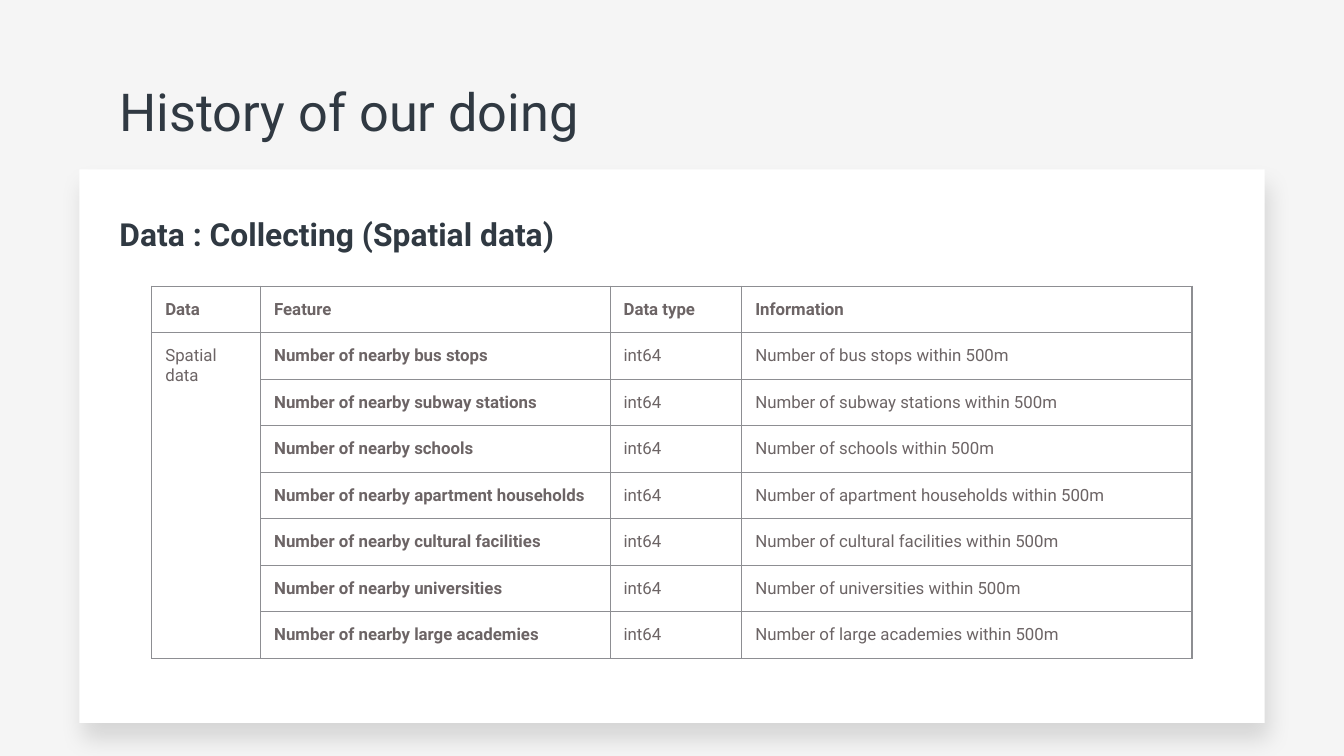
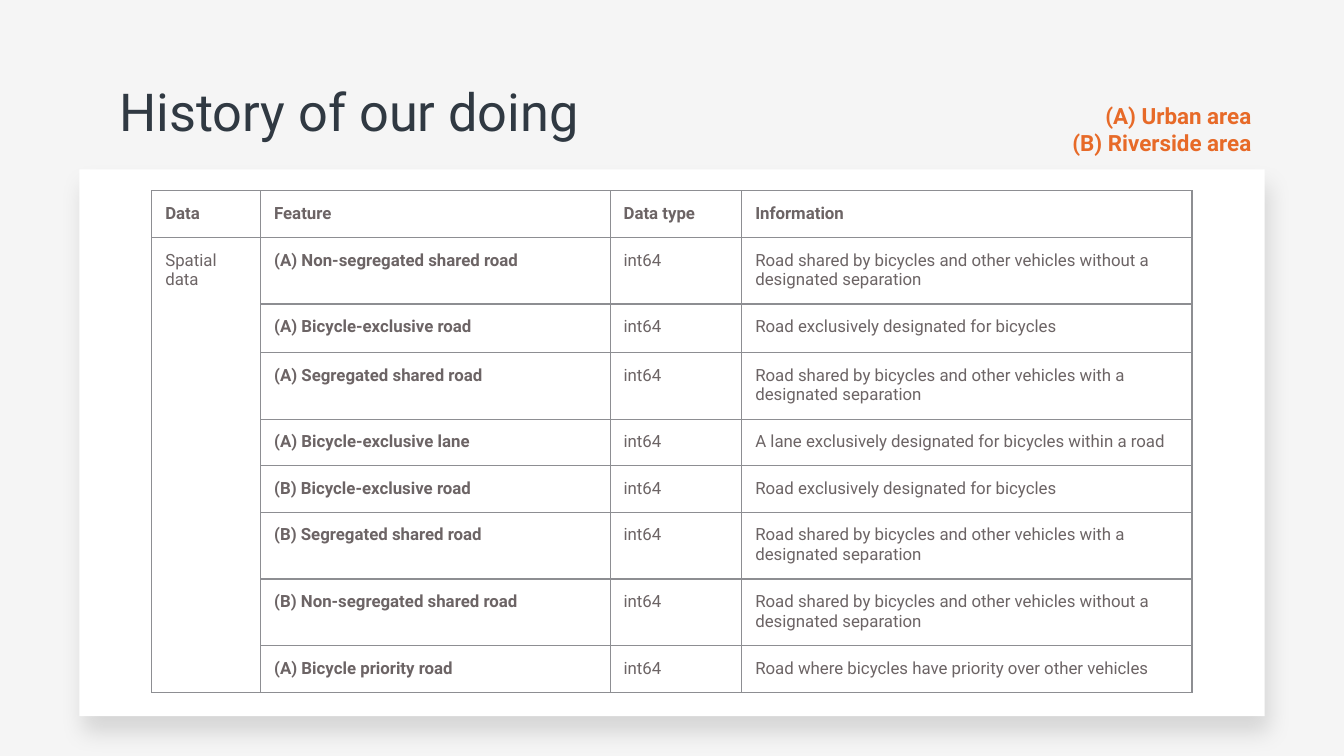
from dataclasses import dataclass

import lxml.etree
import pptx
import pptx.dml.color
import pptx.enum.shapes
import pptx.enum.text
import pptx.oxml.ns
import pptx.util

Inches = pptx.util.Inches
Pt = pptx.util.Pt
qn = pptx.oxml.ns.qn
Anchor = pptx.enum.text.MSO_ANCHOR
Align = pptx.enum.text.PP_ALIGN

FONT = "Roboto"
COLORS = {
    "background": "F5F5F5",
    "card": "FFFFFF",
    "heading": "303942",
    "body": "6C6465",
    "border": "8D8E92",
    "legend": "E76A28",
    "shadow": "000000",
}
INSET = Inches(0.1)
CELL_VERTICAL_INSET = Pt(7.05)
COLUMN_WIDTHS = (0.81, 2.6, 0.98, 3.35)
HEADERS = ("Data", "Feature", "Data type", "Information")
TABLE_LEFT = 1.13


@dataclass(frozen=True)
class Box:
    left: float
    top: float
    width: float
    height: float

    def lengths(self) -> list[int]:
        return [Inches(v) for v in (self.left, self.top, self.width, self.height)]


@dataclass(frozen=True)
class TextStyle:
    size: int
    color: str
    bold: bool = False
    align: Align = Align.LEFT


@dataclass(frozen=True)
class Feature:
    name: str
    information: str
    height: float


TITLE = TextStyle(28, "heading")
SUBTITLE = TextStyle(17, "heading", bold=True)
LEGEND = TextStyle(12, "legend", bold=True, align=Align.RIGHT)
CELL = TextStyle(9, "body")
CELL_BOLD = TextStyle(9, "body", bold=True)

NEARBY_PLACES = (
    "bus stops", "subway stations", "schools", "apartment households",
    "cultural facilities", "universities", "large academies",
)
NEARBY_ROW = 0.28
NEARBY_FEATURES = [
    Feature(f"Number of nearby {place}", f"Number of {place} within 500m", NEARBY_ROW)
    for place in NEARBY_PLACES
]

ROAD_ROW, TALL_ROAD_ROW = 0.29, 0.36
EXCLUSIVE = "Road exclusively designated for bicycles"
SHARED = "Road shared by bicycles and other vehicles {} a designated separation"
SEGREGATED = SHARED.format("with")
NON_SEGREGATED = SHARED.format("without")
ROAD_FEATURES = [
    Feature("(A) Non-segregated shared road", NON_SEGREGATED, TALL_ROAD_ROW),
    Feature("(A) Bicycle-exclusive road", EXCLUSIVE, TALL_ROAD_ROW),
    Feature("(A) Segregated shared road", SEGREGATED, ROAD_ROW),
    Feature("(A) Bicycle-exclusive lane",
            "A lane exclusively designated for bicycles within a road", ROAD_ROW),
    Feature("(B) Bicycle-exclusive road", EXCLUSIVE, ROAD_ROW),
    Feature("(B) Segregated shared road", SEGREGATED, ROAD_ROW),
    Feature("(B) Non-segregated shared road", NON_SEGREGATED, ROAD_ROW),
    Feature("(A) Bicycle priority road",
            "Road where bicycles have priority over other vehicles", ROAD_ROW),
]


def rgb(name: str) -> pptx.dml.color.RGBColor:
    return pptx.dml.color.RGBColor.from_string(COLORS[name])


def write(paragraph, text: str, style: TextStyle) -> None:
    paragraph.alignment = style.align
    run = paragraph.add_run()
    run.text = text
    run.font.name = FONT
    run.font.size = Pt(style.size)
    run.font.bold = style.bold
    run.font.color.rgb = rgb(style.color)


def add_text(slide, box: Box, lines: list[str], style: TextStyle,
             anchor: Anchor = Anchor.TOP, grow: bool = False) -> None:
    frame = slide.shapes.add_textbox(*box.lengths()).text_frame
    frame.word_wrap = True
    frame.vertical_anchor = anchor
    frame.margin_left = frame.margin_right = INSET
    frame.margin_top = frame.margin_bottom = INSET
    if grow:
        frame.auto_size = pptx.enum.text.MSO_AUTO_SIZE.SHAPE_TO_FIT_TEXT
    for index, line in enumerate(lines):
        paragraph = frame.add_paragraph() if index else frame.paragraphs[0]
        write(paragraph, line, style)


def add_color(parent, color: str):
    return lxml.etree.SubElement(parent, qn("a:srgbClr"), val=COLORS[color])


def add_card(slide, height: float) -> None:
    """Draw the white panel with its soft shadow."""
    card = slide.shapes.add_shape(
        pptx.enum.shapes.MSO_SHAPE.RECTANGLE, *Box(0.59, 1.26, 8.82, height).lengths())
    card.fill.solid()
    card.fill.fore_color.rgb = rgb("card")
    card.line.fill.background()
    card.shadow.inherit = False
    effects = card._element.spPr.find(qn("a:effectLst"))
    shadow = lxml.etree.SubElement(
        effects, qn("a:outerShdw"), blurRad=str(Pt(12.4)), dist=str(Pt(9)),
        dir=str(76 * 60000), algn="bl", rotWithShape="0")
    lxml.etree.SubElement(add_color(shadow, "shadow"), qn("a:alpha"), val="13000")


def style_cell(cell) -> None:
    """Give a cell its insets, thin borders and no fill."""
    cell.margin_left = cell.margin_right = INSET
    cell.margin_top = cell.margin_bottom = CELL_VERTICAL_INSET
    properties = cell._tc.get_or_add_tcPr()
    for side in ("lnL", "lnR", "lnT", "lnB"):
        border = lxml.etree.SubElement(properties, qn(f"a:{side}"), w=str(Pt(0.75)))
        add_color(lxml.etree.SubElement(border, qn("a:solidFill")), "border")
    cell.fill.background()


def add_feature_table(slide, top: float, header_height: float,
                      features: list[Feature]) -> None:
    heights = [header_height] + [feature.height for feature in features]
    box = Box(TABLE_LEFT, top, sum(COLUMN_WIDTHS), sum(heights))
    table = slide.shapes.add_table(
        len(heights), len(COLUMN_WIDTHS), *box.lengths()).table
    table.first_row = table.horz_banding = False
    for column, width in zip(table.columns, COLUMN_WIDTHS):
        column.width = Inches(width)
    for row, height in zip(table.rows, heights):
        row.height = Inches(height)

    rows = [HEADERS]
    rows += [("", feature.name, "int64", feature.information) for feature in features]
    for row_index, texts in enumerate(rows):
        for column_index, text in enumerate(texts):
            cell = table.cell(row_index, column_index)
            style_cell(cell)
            if text:
                bold = row_index == 0 or column_index == 1
                paragraph = cell.text_frame.paragraphs[0]
                write(paragraph, text, CELL_BOLD if bold else CELL)
                if column_index and text != "int64":
                    paragraph.space_after = Pt(16)

    group = table.cell(1, 0)
    group.merge(table.cell(len(features), 0))
    write(group.text_frame.paragraphs[0], "Spatial data", CELL)


def add_history_slide(deck, card_height: float):
    """Add a slide with the shared background, card and title."""
    slide = deck.slides.add_slide(deck.slide_layouts[6])
    slide.background.fill.solid()
    slide.background.fill.fore_color.rgb = rgb("background")
    add_card(slide, card_height)
    add_text(slide, Box(0.79, 0.49, 8.82, 0.63), ["History of our doing"], TITLE)
    return slide


def main() -> None:
    deck = pptx.Presentation()
    deck.slide_width = Inches(10)
    deck.slide_height = Inches(10 * 9 / 16)

    nearby = add_history_slide(deck, 4.12)
    add_feature_table(nearby, 2.13, NEARBY_ROW, NEARBY_FEATURES)
    add_text(nearby, Box(0.79, 1.4, 6.52, 0.58),
             ["Data : Collecting (Spatial data)"], SUBTITLE, anchor=Anchor.BOTTOM)

    roads = add_history_slide(deck, 4.07)
    add_feature_table(roads, 1.42, ROAD_ROW, ROAD_FEATURES)
    add_text(roads, Box(6.13, 0.66, 3.28, 0.61),
             ["(A) Urban area", "(B) Riverside area"], LEGEND, grow=True)

    deck.save("out.pptx")


if __name__ == "__main__":
    main()
